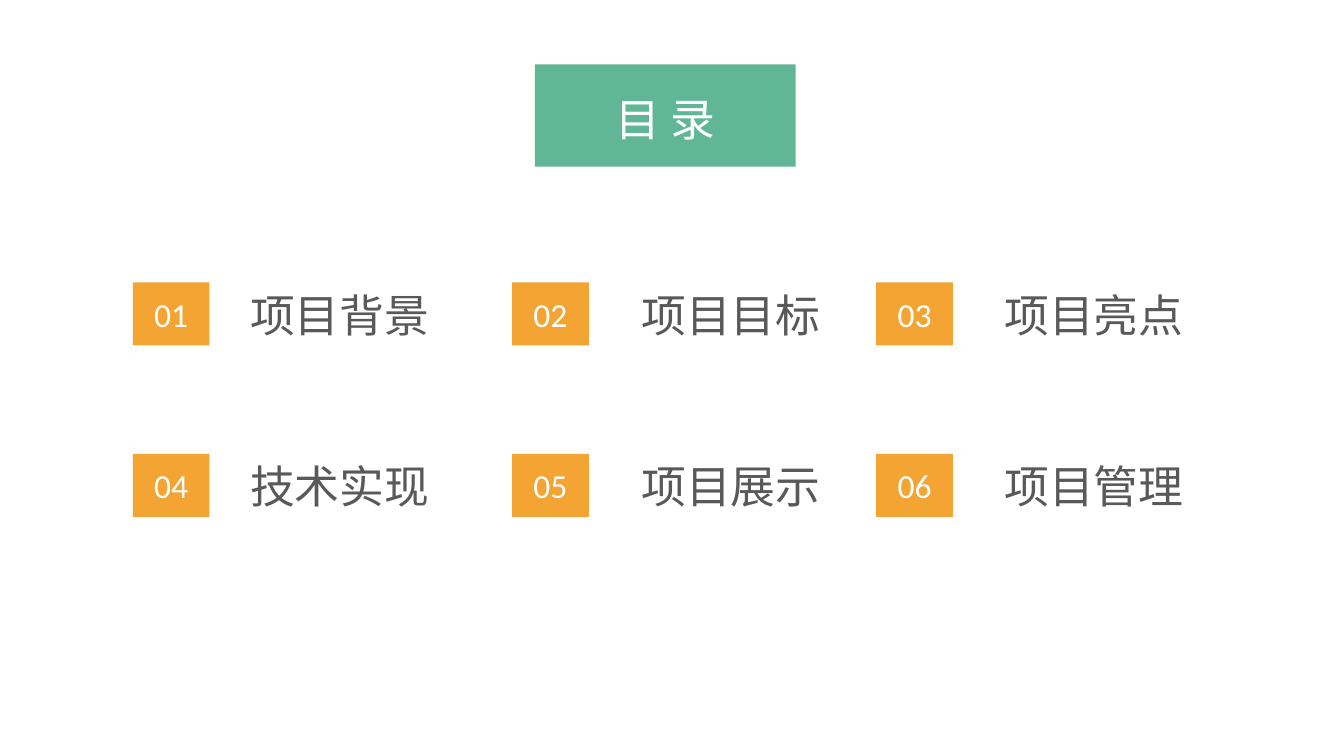
from dataclasses import dataclass

from lxml.etree import SubElement
from pptx import Presentation
from pptx.dml.color import RGBColor
from pptx.enum.shapes import MSO_SHAPE
from pptx.enum.text import MSO_ANCHOR as Anchor, MSO_AUTO_SIZE as AutoSize, PP_ALIGN as Align
from pptx.oxml.ns import qn
from pptx.shapes.autoshape import Shape
from pptx.slide import Slide
from pptx.util import Cm, Pt

GREEN, ORANGE, WHITE, GREY = "61B697", "F4A432", "FFFFFF", "595959"
LATIN_FONT, CHINESE_FONT = "Calibri", "Noto Sans CJK SC"
BADGE_LEFTS = (2.51, 9.68, 16.56)
LABEL_LEFTS = (4.55, 11.94, 18.8)
FIRST_ROW_TOP, ROW_STEP = 5.34, 3.24
TOPICS = ("项目背景", "项目目标", "项目亮点", "技术实现", "项目展示", "项目管理")


@dataclass(frozen=True)
class Box:
    left: float
    top: float
    width: float
    height: float

    def lengths(self) -> tuple[Cm, Cm, Cm, Cm]:
        return Cm(self.left), Cm(self.top), Cm(self.width), Cm(self.height)


@dataclass(frozen=True)
class Entry:
    number: str
    topic: str
    badge_box: Box
    label_box: Box


def color(value: str) -> RGBColor:
    return RGBColor.from_string(value)


def write(shape: Shape, text: str, size: int, ink: str, font_name: str,
          align: Align, anchor: Anchor, wrap: bool = True) -> None:
    frame = shape.text_frame
    frame.word_wrap = wrap
    frame.vertical_anchor = anchor
    frame.margin_left = frame.margin_right = Cm(0.18)
    frame.margin_top = frame.margin_bottom = Cm(0.1)
    paragraph = frame.paragraphs[0]
    paragraph.alignment = align
    run = paragraph.add_run()
    run.text = text
    run.font.size = Pt(size)
    run.font.name = font_name
    run.font.color.rgb = color(ink)
    SubElement(run.font._element, qn("a:ea"), typeface=CHINESE_FONT)


def add_block(slide: Slide, box: Box, fill: str) -> Shape:
    block = slide.shapes.add_shape(MSO_SHAPE.RECTANGLE, *box.lengths())
    block.shadow.inherit = False
    block.fill.solid()
    block.fill.fore_color.rgb = color(fill)
    block.line.fill.background()
    return block


def add_heading(slide: Slide) -> None:
    banner = add_block(slide, Box(10.11, 1.22, 4.93, 1.93), GREEN)
    heading = slide.shapes.title
    heading.left, heading.top, heading.width, heading.height = Box(10.26, 1.63, 4.62, 1.22).lengths()
    write(heading, "目 录", 24, WHITE, CHINESE_FONT, Align.CENTER, Anchor.TOP)
    heading.text_frame.auto_size = AutoSize.SHAPE_TO_FIT_TEXT
    heading.element.addprevious(banner.element)


def add_entry(slide: Slide, entry: Entry) -> None:
    badge = add_block(slide, entry.badge_box, ORANGE)
    write(badge, entry.number, 18, WHITE, LATIN_FONT, Align.CENTER, Anchor.MIDDLE)
    label = slide.shapes.add_textbox(*entry.label_box.lengths())
    write(label, entry.topic, 24, GREY, LATIN_FONT, Align.LEFT, Anchor.TOP, wrap=False)
    label.text_frame.auto_size = AutoSize.SHAPE_TO_FIT_TEXT


def contents() -> list[Entry]:
    entries = []
    for index, topic in enumerate(TOPICS):
        row, column = divmod(index, len(BADGE_LEFTS))
        top = FIRST_ROW_TOP + row * ROW_STEP
        entries.append(Entry(
            f"{index + 1:02}", topic,
            Box(BADGE_LEFTS[column], top, 1.45, 1.19),
            Box(LABEL_LEFTS[column], top, 3.78, 1.22),
        ))
    return entries


def main() -> None:
    deck = Presentation()
    deck.slide_width, deck.slide_height = Cm(25.4), Cm(14.29)
    slide = deck.slides.add_slide(deck.slide_layouts[5])
    add_heading(slide)
    for entry in contents():
        add_entry(slide, entry)
    deck.save("out.pptx")


if __name__ == "__main__":
    main()
